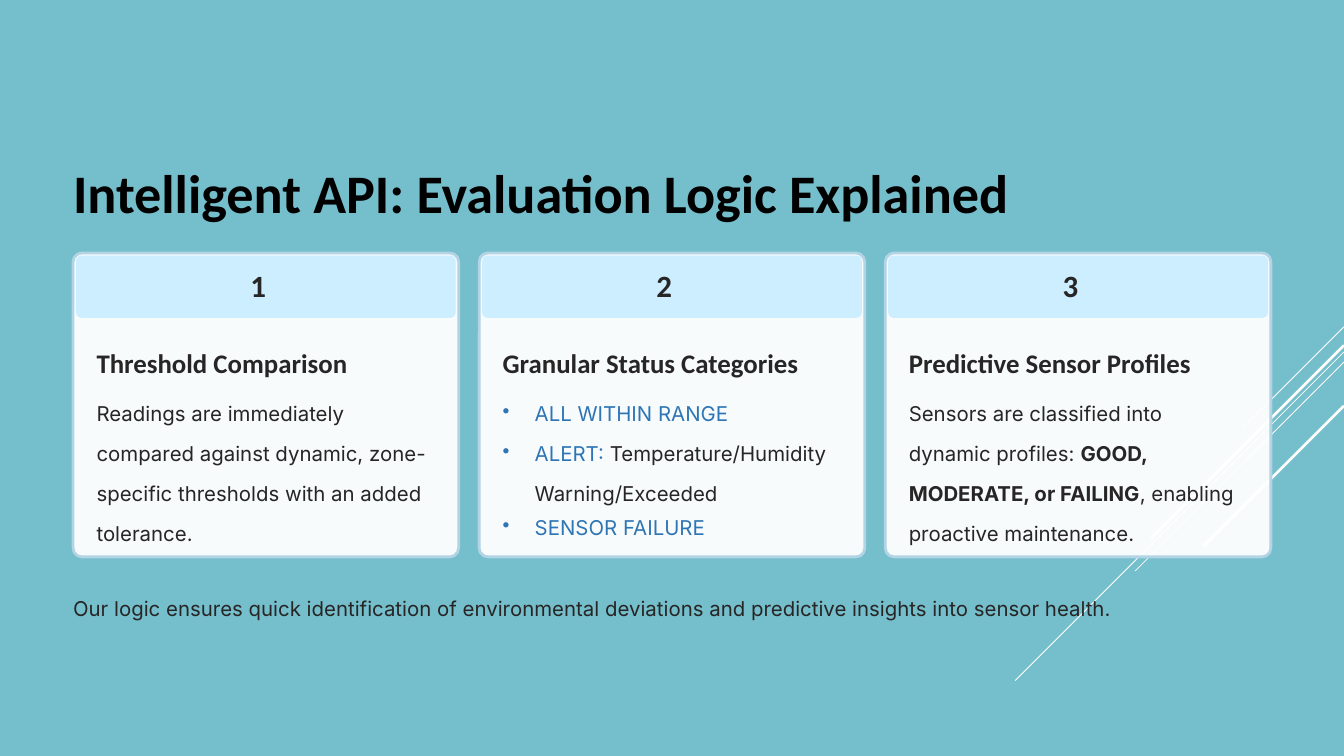
from dataclasses import dataclass

from lxml.etree import SubElement
from pptx import Presentation
from pptx.dml.color import RGBColor
from pptx.enum.shapes import MSO_CONNECTOR as Connector, MSO_SHAPE as Shape
from pptx.oxml.ns import qn
from pptx.util import Cm, Pt

COLORS = {
    "background": "75BECB",
    "title": "000000",
    "text": "272525",
    "accent": "2E75B5",
    "card": "FFFFFF",
    "border": "B2D4E5",
    "band": "CCEEFF",
    "streak": "FFFFFF",
}
HEADING_FONT, BODY_FONT = "Calibri", "Inter"
SLIDE_W, SLIDE_H = 40.64, 22.86
MARGIN = 2.21
CARD_TOP, CARD_W, CARD_H, CARD_PITCH = 7.65, 11.66, 9.19, 12.28
INSET, TEXT_W = 0.71, 10.24


@dataclass
class Style:
    size: float
    font: str = BODY_FONT
    bold: bool = False
    spacing: float = 1.63


@dataclass
class Run:
    text: str
    color: str = "text"
    bold: bool = False


@dataclass
class Block:
    top: float
    height: float
    runs: list[Run]
    bullet: bool = False


@dataclass
class Card:
    heading: str
    blocks: list[Block]


@dataclass
class Streak:
    top: float
    run: float
    width: float


TITLE = Style(46.5, HEADING_FONT, True, 1.26)
NUMBER = Style(26.5, HEADING_FONT, True, 1)
HEADING = Style(23, HEADING_FONT, True, 1.26)
BODY = Style(17.5)

CARDS = [
    Card("Threshold Comparison", [
        Block(11.66, 4.04, [Run(
            "Readings are immediately compared against dynamic, "
            "zone-specific thresholds with an added tolerance.")]),
    ]),
    Card("Granular Status Categories", [
        Block(11.66, 1.02, [Run("ALL WITHIN RANGE", "accent")], True),
        Block(12.88, 2.01, [Run("ALERT: ", "accent"),
                            Run("Temperature/Humidity Warning/Exceeded")], True),
        Block(15.11, 1.02, [Run("SENSOR FAILURE", "accent")], True),
    ]),
    Card("Predictive Sensor Profiles", [
        Block(11.66, 4.04, [Run("Sensors are classified into dynamic profiles: "),
                            Run("GOOD, MODERATE, or FAILING", bold=True),
                            Run(", enabling proactive maintenance.")]),
    ]),
]

STREAKS = [
    Streak(9.88, 3.05, 0.75),
    Streak(10.64, 9.94, 0.75),
    Streak(10.95, 6.32, 0.75),
    Streak(10.44, 5.83, 2.25),
    Streak(12.27, 4.24, 2.25),
]


def rgb(name: str) -> RGBColor:
    return RGBColor.from_string(COLORS[name])


def add_streak(s, streak: Streak) -> None:
    """Draw a 45-degree line down from the right edge."""
    line = s.shapes.add_connector(
        Connector.STRAIGHT, Cm(SLIDE_W), Cm(streak.top),
        Cm(SLIDE_W - streak.run), Cm(streak.top + streak.run))
    line.line.color.rgb = rgb("streak")
    line.line.width = Pt(streak.width)
    SubElement(line._element.spPr, qn("a:effectLst"))


def add_panel(s, left: float, top: float, width: float, height: float,
              radius: float, color: str):
    sp = s.shapes.add_shape(Shape.ROUNDED_RECTANGLE,
                            Cm(left), Cm(top), Cm(width), Cm(height))
    sp.adjustments[0] = radius
    sp.shadow.inherit = False
    sp.fill.solid()
    sp.fill.fore_color.rgb = rgb(color)
    sp.line.fill.background()
    return sp


def add_bullet(p) -> None:
    pPr = p._p.get_or_add_pPr()
    pPr.set("marL", str(Cm(0.97)))
    pPr.set("indent", str(-Cm(0.97)))
    color = SubElement(pPr, qn("a:buClr"))
    SubElement(color, qn("a:srgbClr"), val=COLORS["accent"])
    SubElement(pPr, qn("a:buChar"), char="•")


def add_text(s, left: float, top: float, width: float, height: float,
             runs: list[Run], style: Style, bullet: bool = False) -> None:
    sp = s.shapes.add_textbox(Cm(left), Cm(top), Cm(width), Cm(height))
    tf = sp.text_frame
    tf.word_wrap = True
    tf.margin_left = tf.margin_right = tf.margin_top = tf.margin_bottom = 0
    p = tf.paragraphs[0]
    if bullet:
        add_bullet(p)
    p.line_spacing = style.spacing
    for run in runs:
        r = p.add_run()
        r.text = run.text
        r.font.name = style.font
        r.font.size = Pt(style.size)
        r.font.bold = style.bold or run.bold
        r.font.color.rgb = rgb(run.color)


def add_card(s, index: int, card: Card) -> None:
    left = MARGIN + index * CARD_PITCH
    # Panel, slightly see-through
    panel = add_panel(s, left, CARD_TOP, CARD_W, CARD_H, 0.029, "card")
    panel.line.color.rgb = rgb("border")
    panel.line.width = Pt(2.4)
    fill = panel._element.spPr.find(qn("a:solidFill"))
    SubElement(fill[0], qn("a:alpha"), val="95000")
    # Numbered band
    add_panel(s, left + 0.09, CARD_TOP + 0.08, CARD_W - 0.18, 1.88, 0.086, "band")
    add_text(s, left + 5.36, 8.05, 0.94, 1.19, [Run(str(index + 1))], NUMBER)
    # Heading and body
    add_text(s, left + INSET, 10.24, TEXT_W, 1.04, [Run(card.heading)], HEADING)
    for block in card.blocks:
        add_text(s, left + INSET, block.top, TEXT_W, block.height,
                 block.runs, BODY, block.bullet)


def main() -> None:
    prs = Presentation()
    prs.slide_width, prs.slide_height = Cm(SLIDE_W), Cm(SLIDE_H)
    s = prs.slides.add_slide(prs.slide_layouts[6])

    # Background and diagonal streaks
    s.background.fill.solid()
    s.background.fill.fore_color.rgb = rgb("background")
    for streak in STREAKS:
        add_streak(s, streak)

    # Title, cards and closing line
    add_text(s, MARGIN, 4.32, 32.49, 2.06,
             [Run("Intelligent API: Evaluation Logic Explained", "title")], TITLE)
    for index, card in enumerate(CARDS):
        add_card(s, index, card)
    add_text(s, MARGIN, 17.55, SLIDE_W - 2 * MARGIN, 1.02,
             [Run("Our logic ensures quick identification of environmental "
                  "deviations and predictive insights into sensor health.")], BODY)

    prs.save("out.pptx")


if __name__ == "__main__":
    main()
